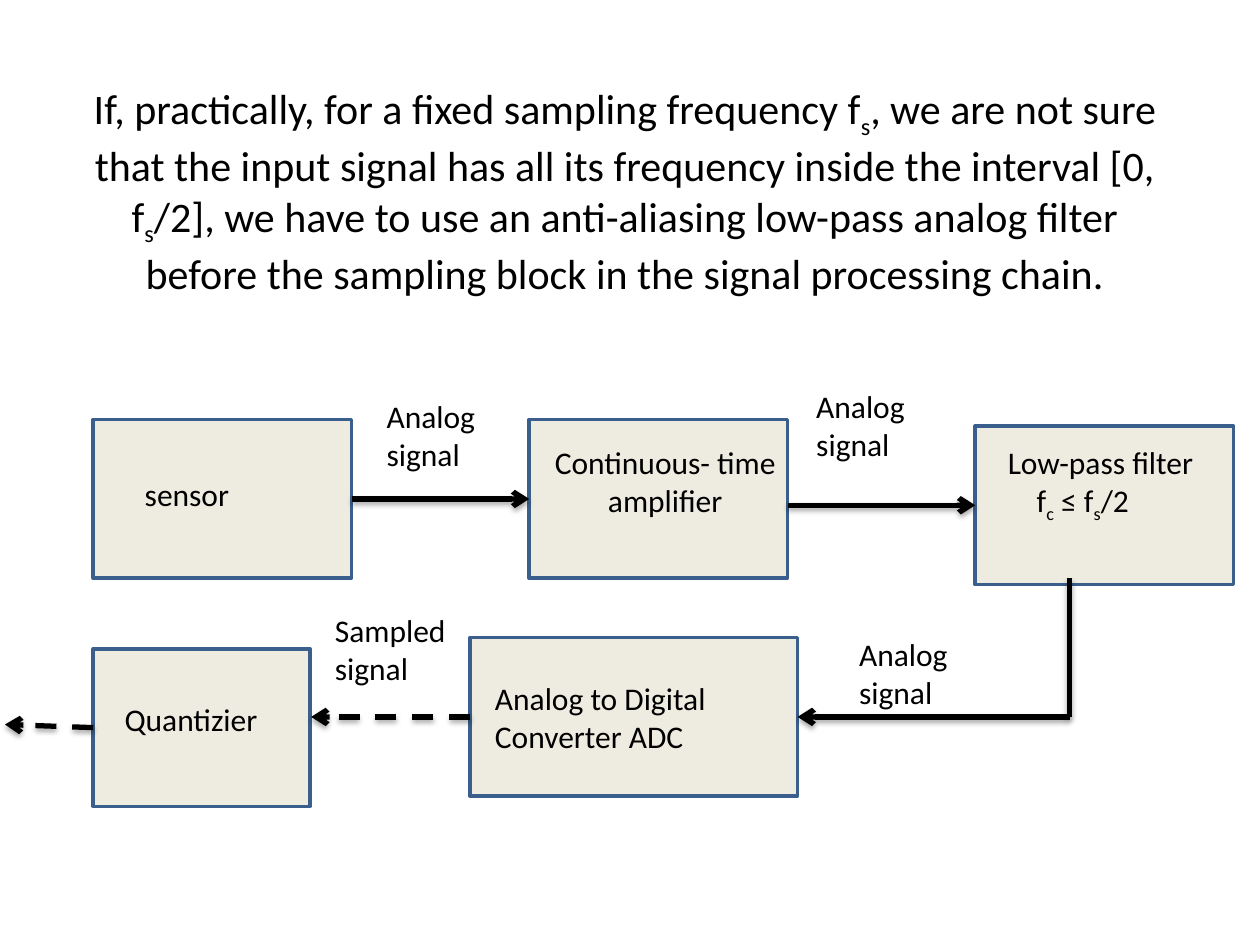
from typing import NamedTuple, Optional

from lxml import etree
from pptx import Presentation, util as u
from pptx.dml.color import RGBColor
from pptx.enum import dml, shapes, text
from pptx.oxml import ns

BLACK = RGBColor(0x00, 0x00, 0x00)
CREAM = RGBColor(0xEE, 0xEC, 0xE1)
BLUE = RGBColor(0x3A, 0x5F, 0x8C)
FONT = "Calibri"
TOP, LEFT, BOTTOM, RIGHT = range(4)


class Block(NamedTuple):
    left: float
    top: float
    width: float = 2.05
    height: float = 1.26


class Label(NamedTuple):
    left: float
    top: float
    width: float
    lines: tuple
    height: float = 0.71
    align: text.PP_ALIGN = text.PP_ALIGN.LEFT
    indent: float = 0  # left margin of the lines after the first


class Link(NamedTuple):
    start: tuple
    end: tuple
    begin_at: Optional[tuple] = None  # block name, side
    end_at: Optional[tuple] = None
    dashed: bool = False
    arrow: bool = True


# Every second part between "|" marks is a subscript
TITLE = ("If, practically, for a fixed sampling frequency f|s|, we are not sure that the "
         "input signal has all its frequency inside the interval [0, f|s|/2], we have to use "
         "an anti-aliasing low-pass analog filter before the sampling block in the signal "
         "processing chain.")

BLOCKS = {
    "sensor": Block(0.74, 3.33),
    "amplifier": Block(4.2, 3.33),
    "filter": Block(7.74, 3.38),
    "converter": Block(3.73, 5.06, width=2.6),
    "quantizer": Block(0.74, 5.15, 1.72, 1.25),
}

LINKS = [
    Link((2.79, 3.96), (4.2, 3.96), ("sensor", RIGHT), ("amplifier", LEFT)),
    Link((6.25, 4.01), (7.74, 4.01), end_at=("filter", LEFT)),
    Link((8.49, 5.69), (8.49, 4.59), arrow=False),
    Link((8.49, 5.69), (6.33, 5.69), end_at=("converter", RIGHT)),
    Link((3.73, 5.69), (2.47, 5.69), ("converter", LEFT), dashed=True),
    Link((0.74, 5.78), (0.04, 5.75), ("quantizer", LEFT), dashed=True),
]

LABELS = [
    Label(1.05, 3.72, 1.42, ("sensor",), height=0.4),
    Label(4.18, 3.47, 2.2, ("Continuous- time amplifier",), align=text.PP_ALIGN.CENTER),
    Label(7.9, 3.47, 1.73, ("Low-pass filter", "f|c| ≤ f|s|/2"), indent=0.23),
    Label(3.83, 5.34, 2.42, ("Analog to Digital Converter ADC",)),
    Label(0.89, 5.51, 1.34, ("Quantizier",), height=0.4),
    Label(2.97, 3.1, 1.1, ("Analog signal",)),
    Label(6.38, 3.02, 1.26, ("Analog signal",)),
    Label(6.72, 4.99, 1.26, ("Analog signal",)),
    Label(2.56, 4.8, 1.26, ("Sampled signal",)),
]


def write(para, marked: str, size: int, align: text.PP_ALIGN) -> None:
    """Fill a paragraph, lowering the parts marked as subscripts."""
    para.alignment = align
    for number, part in enumerate(marked.split("|")):
        span = para.add_run()
        span.text = part
        span.font.size, span.font.name = u.Pt(size), FONT
        span.font.color.rgb = BLACK
        if number % 2:
            span._r.get_or_add_rPr().set("baseline", "-25000")


def draw_block(page, block: Block):
    box = page.shapes.add_shape(shapes.MSO_SHAPE.RECTANGLE, *map(u.Inches, block))
    box.shadow.inherit = False
    box.fill.solid()
    box.fill.fore_color.rgb = CREAM
    box.line.color.rgb = BLUE
    box.line.width = u.Pt(2)
    return box


def draw_label(page, label: Label) -> None:
    box = page.shapes.add_textbox(u.Inches(label.left), u.Inches(label.top),
                                  u.Inches(label.width), u.Inches(label.height))
    frame = box.text_frame
    frame.word_wrap = True
    frame.auto_size = text.MSO_AUTO_SIZE.SHAPE_TO_FIT_TEXT
    for number, line in enumerate(label.lines):
        para = frame.add_paragraph() if number else frame.paragraphs[0]
        if number and label.indent:
            para._p.get_or_add_pPr().set("marL", str(u.Inches(label.indent)))
        write(para, line, 18, label.align)


def add_shadow(line) -> None:
    effects = etree.SubElement(line._element.spPr, ns.qn("a:effectLst"))
    shadow = etree.SubElement(effects, ns.qn("a:outerShdw"), blurRad=str(u.Pt(3.1)),
                              dist=str(u.Pt(1.8)), dir="5400000", rotWithShape="0")
    color = etree.SubElement(shadow, ns.qn("a:srgbClr"), val=str(BLACK))
    etree.SubElement(color, ns.qn("a:alpha"), val="35000")


def draw_link(page, link: Link, boxes: dict) -> None:
    line = page.shapes.add_connector(shapes.MSO_CONNECTOR.STRAIGHT,
                                     *map(u.Inches, link.start + link.end))
    if link.begin_at:
        name, side = link.begin_at
        line.begin_connect(boxes[name], side)
    if link.end_at:
        name, side = link.end_at
        line.end_connect(boxes[name], side)
    line.line.color.rgb = BLACK
    line.line.width = u.Pt(3)
    if link.dashed:
        line.line.dash_style = dml.MSO_LINE.DASH
    if link.arrow:
        etree.SubElement(line.line._get_or_add_ln(), ns.qn("a:tailEnd"), type="arrow")
    add_shadow(line)


def main() -> None:
    deck = Presentation()
    deck.slide_width, deck.slide_height = u.Inches(10), u.Inches(7.5)
    page = deck.slides.add_slide(deck.slide_layouts[5])

    # Title
    title = page.shapes.title
    title.left, title.top = u.Inches(0.51), u.Inches(0.29)
    title.width, title.height = u.Inches(8.9), u.Inches(2.44)
    title.text_frame.vertical_anchor = text.MSO_ANCHOR.MIDDLE
    write(title.text_frame.paragraphs[0], TITLE, 24, text.PP_ALIGN.CENTER)

    # Signal processing chain
    boxes = {name: draw_block(page, block) for name, block in BLOCKS.items()}
    for link in LINKS:
        draw_link(page, link, boxes)
    for label in LABELS:
        draw_label(page, label)

    deck.save("out.pptx")


if __name__ == "__main__":
    main()
